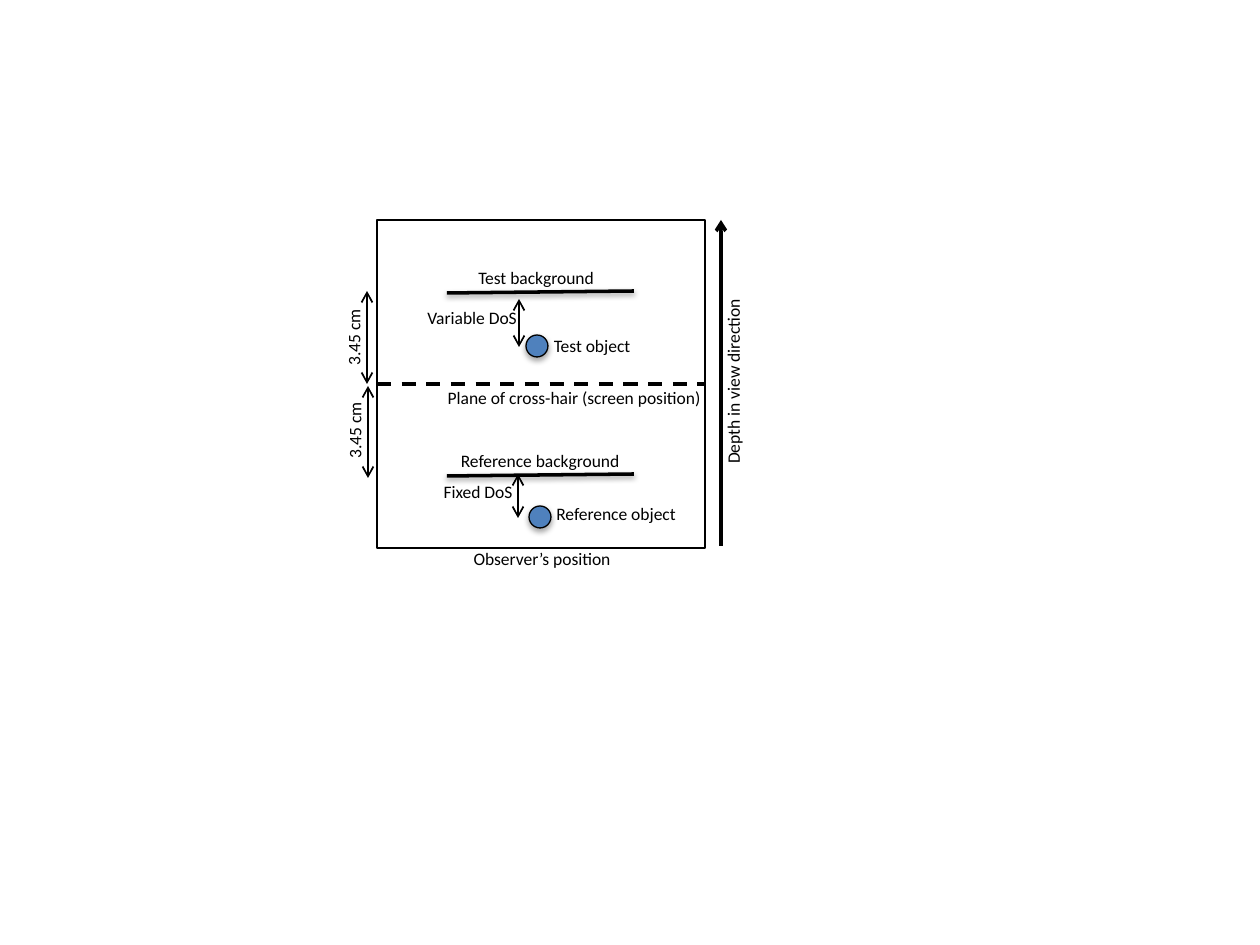
import pptx
import pptx.util
import pptx.dml.color
import pptx.enum.dml
import pptx.enum.shapes
import pptx.enum.text
import pptx.oxml
import pptx.oxml.ns

PX = 914400 / 126
SHAPE = pptx.enum.shapes.MSO_SHAPE


def color(code):
    return pptx.dml.color.RGBColor.from_string(code)


def effect(item, dist=0, alpha=0):
    shade = ""
    if dist:
        shade = (
            f'<a:outerShdw blurRad="40000" dist="{dist}" dir="5400000" rotWithShape="0">'
            f'<a:srgbClr val="000000"><a:alpha val="{alpha}"/></a:srgbClr></a:outerShdw>'
        )
    ns = pptx.oxml.ns.nsdecls("a")
    node = pptx.oxml.parse_xml(f"<a:effectLst {ns}>{shade}</a:effectLst>")
    item._element.spPr.append(node)


deck = pptx.Presentation()
deck.slide_width = pptx.util.Inches(10)
deck.slide_height = pptx.util.Inches(7.5)
slide = deck.slides.add_slide(deck.slide_layouts[6])
shapes = slide.shapes

outlines = [
    (SHAPE.RECTANGLE, 377, 220, 328, "FFFFFF", False),
    (SHAPE.OVAL, 526, 335, 22, "4F81BD", True),
    (SHAPE.OVAL, 529, 506, 22, "4F81BD", True),
]
for kind, x, y, size, fill, shade in outlines:
    box = [round(v * PX) for v in (x, y, size, size)]
    shape = shapes.add_shape(kind, *box)
    shape.fill.solid()
    shape.fill.fore_color.rgb = color(fill)
    shape.line.color.rgb = color("000000")
    shape.line.width = pptx.util.Pt(0.75)
    if shade:
        effect(shape, 23000, 35000)
    else:
        shape.shadow.inherit = False

lines = [
    (447, 293, 634, 291, 2, "shade"),
    (377, 384, 705, 384, 2, "dash"),
    (447, 476, 634, 474, 2, "shade"),
    (519, 299, 519, 347, 1, "both"),
    (367, 291, 367, 384, 1, "both"),
    (518, 474, 518, 518, 1, "both"),
    (368, 386, 368, 478, 1, "both"),
    (721, 546, 721, 220, 2, "tail"),
]
for x1, y1, x2, y2, width, style in lines:
    ends = [round(v * PX) for v in (x1, y1, x2, y2)]
    line = shapes.add_connector(pptx.enum.shapes.MSO_CONNECTOR.STRAIGHT, *ends)
    line.line.color.rgb = color("000000")
    line.line.width = pptx.util.Pt(width)
    if style == "dash":
        line.line.dash_style = pptx.enum.dml.MSO_LINE.DASH
    tips = {"both": ("headEnd", "tailEnd"), "tail": ("tailEnd",)}
    for tip in tips.get(style, ()):
        ns = pptx.oxml.ns.nsdecls("a")
        node = pptx.oxml.parse_xml(f'<a:{tip} {ns} type="arrow"/>')
        line.line._get_or_add_ln().append(node)
    if style == "shade":
        effect(line, 20000, 38000)
    else:
        effect(line)

labels = [
    ("Plane of cross-hair (screen position)", 427, 376, 294, 43, 0),
    ("Reference object", 505, 492, 222, 43, 0),
    ("Reference background", 429, 439, 222, 43, 0),
    ("Test object", 481, 324, 222, 43, 0),
    ("Test background", 425, 256, 222, 43, 0),
    ("Observer’s position", 431, 537, 222, 43, 0),
    ("Variable DoS", 325, 306, 294, 23, 0),
    ("Fixed DoS", 331, 480, 294, 23, 0),
    ("3.45 cm", 286, 319, 135, 37, 270),
    ("3.45 cm", 287, 412, 135, 37, 270),
    ("Depth in view direction", 620, 363, 226, 37, 270),
]
for text, x, y, w, h, turn in labels:
    label = shapes.add_textbox(*[round(v * PX) for v in (x, y, w, h)])
    label.rotation = turn
    frame = label.text_frame
    frame.word_wrap = True
    frame.vertical_anchor = pptx.enum.text.MSO_ANCHOR.MIDDLE
    para = frame.paragraphs[0]
    para.text = text
    para.alignment = pptx.enum.text.PP_ALIGN.CENTER
    para.font.name = "Calibri"
    para.font.size = pptx.util.Pt(10)
    para.font.color.rgb = color("000000")

deck.save("out.pptx")
